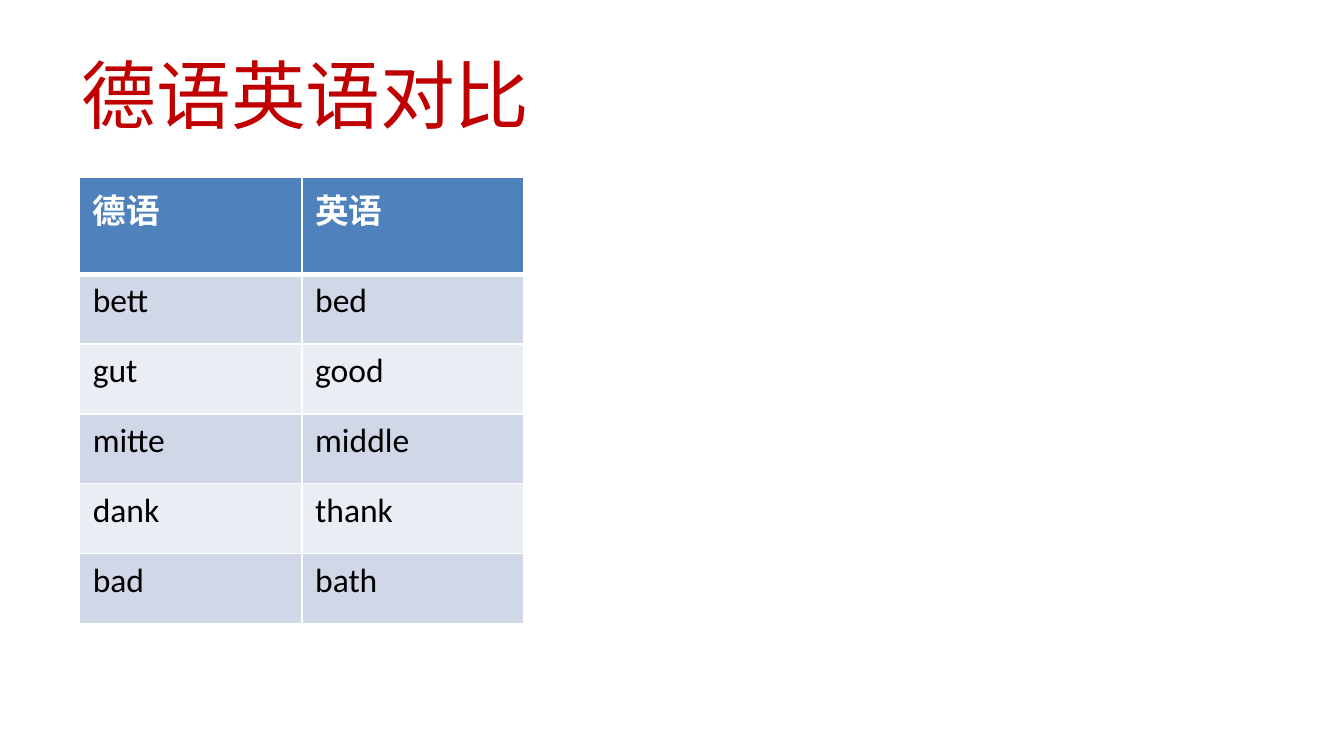
from lxml import etree
from pptx import Presentation
from pptx.dml.color import RGBColor
from pptx.enum import text
from pptx.oxml import ns
from pptx.util import Inches, Pt

RED = RGBColor(0xC0, 0x00, 0x00)
BLUE = RGBColor(0x4F, 0x81, 0xBD)
BAND_DARK = RGBColor(0xD0, 0xD8, 0xE8)
BAND_LIGHT = RGBColor(0xE9, 0xED, 0xF4)
WHITE = RGBColor(0xFF, 0xFF, 0xFF)
BLACK = RGBColor(0x00, 0x00, 0x00)
LATIN_FONT = "Calibri"
CHINESE_FONT = "Noto Sans CJK SC"

WORD_PAIRS = [
    ("德语", "英语"),
    ("bett", "bed"),
    ("gut", "good"),
    ("mitte", "middle"),
    ("dank", "thank"),
    ("bad", "bath"),
]


def add_span(para, words, size, font, color, bold=False):
    span = para.add_run()
    span.text = words
    span.font.size = Pt(size)
    span.font.name = font
    span.font.bold = bold
    span.font.color.rgb = color
    east_asian = etree.SubElement(span.font._element, ns.qn("a:ea"))
    east_asian.set("typeface", CHINESE_FONT)


def add_title(page, words):
    title = page.shapes.title
    title.left, title.top = Inches(0.51), Inches(0.23)
    title.width, title.height = Inches(8.99), Inches(0.94)
    title.text_frame.vertical_anchor = text.MSO_ANCHOR.MIDDLE
    para = title.text_frame.paragraphs[0]
    para.alignment = text.PP_ALIGN.LEFT
    add_span(para, words, 40, CHINESE_FONT, RED)


def set_borders(cell, widths):
    properties = cell._tc.get_or_add_tcPr()
    for side, width in widths.items():
        line = etree.SubElement(properties, ns.qn(f"a:ln{side}"), w=str(Pt(width)))
        fill = etree.SubElement(line, ns.qn("a:solidFill"))
        etree.SubElement(fill, ns.qn("a:srgbClr"), val=str(WHITE))


def format_cell(cell, words, row):
    header = row == 0
    set_borders(cell, {"L": 1, "R": 1, "T": 3 if row == 1 else 1, "B": 3 if header else 1})
    cell.fill.solid()
    cell.fill.fore_color.rgb = BLUE if header else BAND_DARK if row % 2 else BAND_LIGHT
    para = cell.text_frame.paragraphs[0]
    add_span(para, words, 18, LATIN_FONT, WHITE if header else BLACK, header)


def add_word_table(page, pairs):
    frame = page.shapes.add_table(
        len(pairs), 2, Inches(0.59), Inches(1.32), Inches(3.31), Inches(3.31)
    )
    table = frame.table
    for column in table.columns:
        column.width = Inches(3.31) // 2
    for row, pair in enumerate(pairs):
        table.rows[row].height = Inches(0.52 if row else 0.72)
        for column, words in enumerate(pair):
            format_cell(table.cell(row, column), words, row)


def main():
    deck = Presentation()
    deck.slide_width = Inches(10)
    deck.slide_height = deck.slide_width * 9 // 16
    page = deck.slides.add_slide(deck.slide_layouts[5])
    add_title(page, "德语英语对比")
    add_word_table(page, WORD_PAIRS)
    deck.save("out.pptx")


if __name__ == "__main__":
    main()
